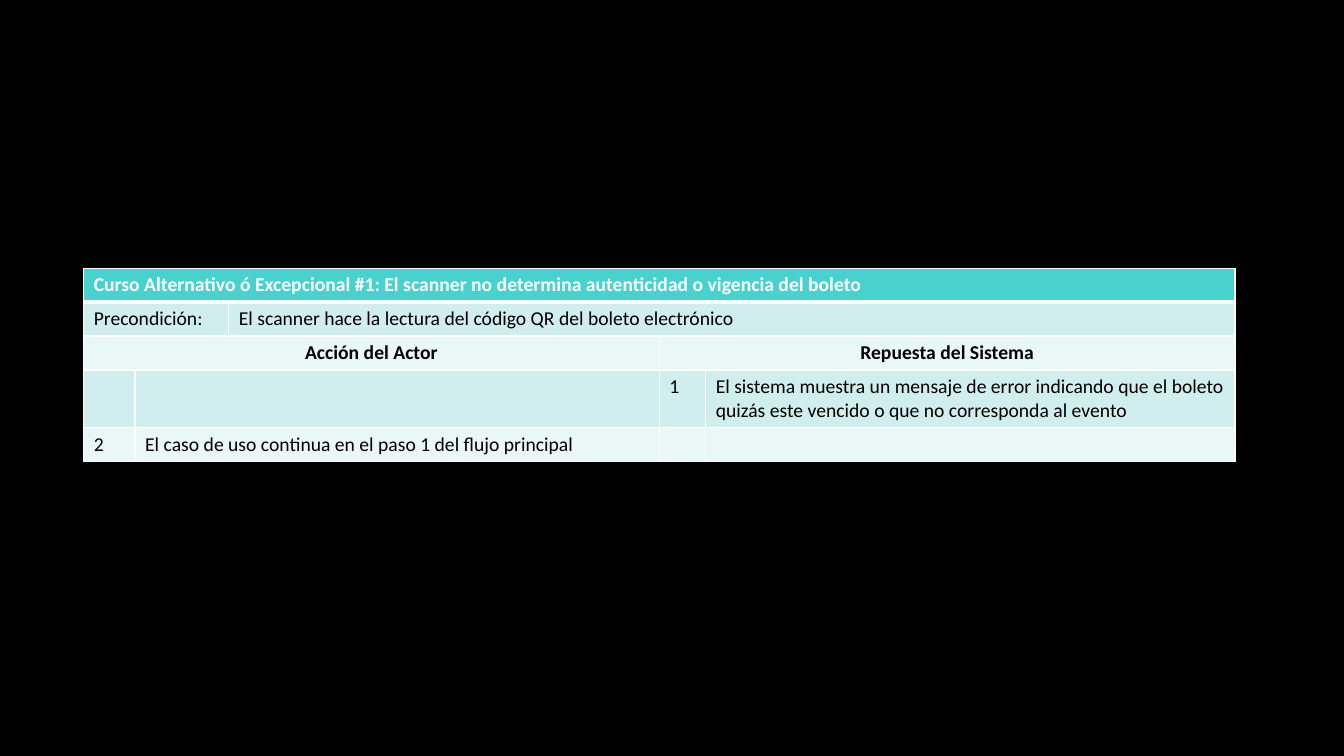
from dataclasses import dataclass

from lxml.etree import SubElement as Sub
from pptx import Presentation as Deck
from pptx.dml.color import RGBColor as Rgb
from pptx.enum.text import PP_ALIGN as Align
from pptx.oxml.ns import qn
from pptx.util import Emu, Inches, Pt

WIDE, HIGH = Inches(13.33), Inches(7.5)
COLS, ROWS = 1333, 750
SIZES = [51, 93, 427, 46, 525]
STEP = 33
TEAL, MINT, PALE = "49D1CD", "D0EEED", "E9F7F6"
WHITE, BLACK = "FFFFFF", "000000"


@dataclass
class Entry:
    text: str = ""
    span: int = 1
    bold: bool = False
    color: str = BLACK
    align: Align = Align.LEFT


@dataclass
class Band:
    fill: str
    items: list[Entry]
    top: int = 1
    base: int = 1


BANDS = [
    Band(TEAL, [Entry("Curso Alternativo ó Excepcional #1: El scanner no determina "
                      "autenticidad o vigencia del boleto", 5, True, WHITE)], base=3),
    Band(MINT, [Entry("Precondición:", 2),
                Entry("El scanner hace la lectura del código QR del boleto electrónico", 3)],
         top=3),
    Band(PALE, [Entry("Acción del Actor", 3, True, align=Align.CENTER),
                Entry("Repuesta del Sistema", 2, True, align=Align.CENTER)]),
    Band(MINT, [Entry(), Entry(span=2), Entry("1"),
                Entry("El sistema muestra un mensaje de error indicando que el boleto "
                      "quizás este vencido o que no corresponda al evento")]),
    Band(PALE, [Entry("2"),
                Entry("El caso de uso continua en el paso 1 del flujo principal", 2),
                Entry(), Entry()]),
]


def across(cols: int) -> Emu:
    return Emu(round(WIDE * cols / COLS))


def down(rows: int) -> Emu:
    return Emu(round(HIGH * rows / ROWS))


def paint(fill, color: str) -> None:
    fill.solid()
    fill.fore_color.rgb = Rgb.from_string(color)


def write(cell, text: str, *, size: int = 14, face: str = "Calibri", bold: bool = False,
          color: str = BLACK, align: Align = Align.LEFT) -> None:
    para = cell.text_frame.paragraphs[0]
    para.alignment = align
    if not text:
        Sub(para._p, qn("a:endParaRPr"), sz=str(size * 100))
        return
    run = para.add_run()
    run.text = text
    run.font.size, run.font.name, run.font.bold = Pt(size), face, bold
    run.font.color.rgb = Rgb.from_string(color)


def edge(cell, band: Band) -> None:
    props = cell._tc.get_or_add_tcPr()
    sides = {"L": 1, "R": 1, "T": band.top, "B": band.base}
    for spot, (side, width) in enumerate(sides.items()):
        line = Sub(props, qn(f"a:ln{side}"), w=str(Pt(width)))
        Sub(Sub(line, qn("a:solidFill")), qn("a:srgbClr"), val=WHITE)
        props.insert(spot, line)


def draw(table, row: int, band: Band) -> None:
    table.rows[row].height = down(STEP)
    for cell in table.rows[row].cells:
        paint(cell.fill, band.fill)
        edge(cell, band)
    col = 0
    for item in band.items:
        cell = table.cell(row, col)
        if item.span > 1:
            cell.merge(table.cell(row, col + item.span - 1))
        write(cell, item.text, bold=item.bold, color=item.color, align=item.align)
        col += item.span


def main() -> None:
    deck = Deck()
    deck.slide_width, deck.slide_height = WIDE, HIGH
    slide = deck.slides.add_slide(deck.slide_layouts[6])
    paint(slide.background.fill, BLACK)
    table = slide.shapes.add_table(
        len(BANDS), len(SIZES), across(83), down(266),
        across(sum(SIZES)), down(STEP * len(BANDS))).table
    table.first_row = table.horz_banding = False
    for col, size in zip(table.columns, SIZES):
        col.width = across(size)
    for row, band in enumerate(BANDS):
        draw(table, row, band)
    deck.save("out.pptx")


if __name__ == "__main__":
    main()
